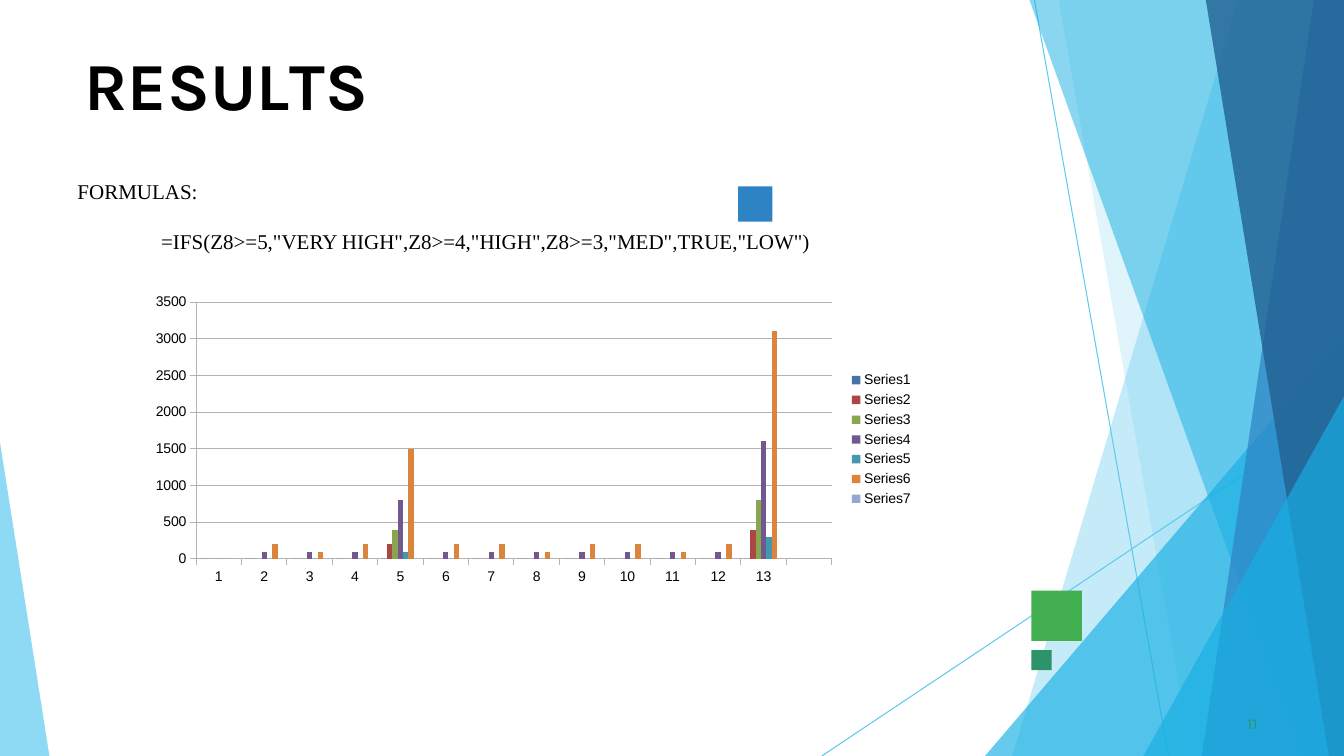
from lxml import etree
from pptx import Presentation
from pptx.chart.data import CategoryChartData
from pptx.dml.color import RGBColor
from pptx.enum.chart import XL_CHART_TYPE, XL_LEGEND_POSITION, XL_TICK_MARK
from pptx.enum.shapes import MSO_CONNECTOR, MSO_SHAPE
from pptx.oxml.ns import qn
from pptx.util import Inches, Pt

COLUMNS = XL_CHART_TYPE.COLUMN_CLUSTERED
LEGEND_RIGHT = XL_LEGEND_POSITION.RIGHT
TICK_OUTSIDE = XL_TICK_MARK.OUTSIDE
STRAIGHT = MSO_CONNECTOR.STRAIGHT
RECTANGLE = MSO_SHAPE.RECTANGLE

BLACK = RGBColor(0x00, 0x00, 0x00)
GRID = RGBColor(0xB3, 0xB3, 0xB3)
SKY = RGBColor(0x5F, 0xCA, 0xEE)
CYAN = RGBColor(0x17, 0xAF, 0xE3)
BLUE = RGBColor(0x2D, 0x83, 0xC3)
NAVY = RGBColor(0x22, 0x61, 0x92)
GREEN = RGBColor(0x42, 0xAF, 0x51)
TEAL = RGBColor(0x2D, 0x93, 0x6B)
WIDTH, HEIGHT = 13.33, 7.5

THIN_LINES = [(10.26, 0, 11.59, HEIGHT), (WIDTH, 4.04, 8.15, HEIGHT)]

# Corner points, colour, opacity in percent
FACETS = [
    ([(WIDTH, 0), (12.28, 0), (10.04, HEIGHT), (WIDTH, HEIGHT)], SKY, 36),
    ([(WIDTH, 0), (10.5, 0), (11.82, HEIGHT), (WIDTH, HEIGHT)], SKY, 20),
    ([(WIDTH, 3.33), (9.77, HEIGHT), (WIDTH, HEIGHT)], CYAN, 66),
    ([(WIDTH, 0), (10.21, 0), (12.91, HEIGHT), (WIDTH, HEIGHT)], CYAN, 50),
    ([(WIDTH, 0), (13.03, 0), (11.92, HEIGHT), (WIDTH, HEIGHT)], BLUE, 70),
    ([(WIDTH, 0), (11.96, 0), (13.18, HEIGHT), (WIDTH, HEIGHT)], NAVY, 80),
    ([(WIDTH, 3.93), (11.34, HEIGHT), (WIDTH, HEIGHT)], CYAN, 66),
    ([(0, 4.39), (0, HEIGHT), (0.49, HEIGHT)], SKY, 70),
]

# Left, top, width, height, colour
SQUARES = [
    (10.23, 5.86, 0.5, 0.5, GREEN),
    (7.32, 1.85, 0.34, 0.35, BLUE),
    (10.23, 6.45, 0.2, 0.2, TEAL),
]

# Letters and their spacing in points
TITLE = [("R", 0), ("E", -0.4), ("S", 0.1), ("U", -0.3), ("L", -4), ("TS", 0)]
FORMULA_LABEL = "FORMULAS:"
FORMULA = '=IFS(Z8>=5,"VERY HIGH",Z8>=4,"HIGH",Z8>=3,"MED",TRUE,"LOW")'
PAGE = [("11", 0.1)]

CATEGORIES = [str(n) for n in range(1, 14)] + [""]
SERIES = [
    ([0] * 13, RGBColor(0x45, 0x72, 0xA7)),
    ([0, 0, 0, 0, 200, 0, 0, 0, 0, 0, 0, 0, 400], RGBColor(0xAA, 0x46, 0x43)),
    ([0, 0, 0, 0, 400, 0, 0, 0, 0, 0, 0, 0, 800], RGBColor(0x89, 0xA5, 0x4E)),
    ([0, 100, 100, 100, 800, 100, 100, 100, 100, 100, 100, 100, 1600], RGBColor(0x71, 0x58, 0x8F)),
    ([0, 0, 0, 0, 100, 0, 0, 0, 0, 0, 0, 0, 300], RGBColor(0x41, 0x98, 0xAF)),
    ([0, 200, 100, 200, 1500, 200, 200, 100, 200, 200, 100, 200, 3100], RGBColor(0xDB, 0x84, 0x3D)),
    ([None] * 13, RGBColor(0x93, 0xA9, 0xCF)),
]


def paint(sp, color):
    sp.shadow.inherit = False
    sp.fill.solid()
    sp.fill.fore_color.rgb = color
    sp.line.fill.background()


def add_thin_line(shapes, ends):
    line = shapes.add_connector(STRAIGHT, *map(Inches, ends))
    line.line.color.rgb = SKY
    line.line.width = Pt(0.75)
    etree.SubElement(line._element.spPr, qn("a:effectLst"))


def add_facet(shapes, points, color, opacity):
    start, *others = [(Inches(x), Inches(y)) for x, y in points]
    builder = shapes.build_freeform(*start)
    builder.add_line_segments(others, close=True)
    sp = builder.convert_to_shape()
    paint(sp, color)
    rgb = sp._element.spPr.find(qn("a:solidFill")).find(qn("a:srgbClr"))
    etree.SubElement(rgb, qn("a:alpha")).set("val", str(opacity * 1000))


def add_text_frame(shapes, box):
    tf = shapes.add_textbox(*map(Inches, box)).text_frame
    tf.word_wrap = True
    return tf


def style(p, font, size, color, before=0):
    p.font.name, p.font.size = font, Pt(size)
    p.font.color.rgb = color
    p.space_before = Pt(before)


def add_spaced_text(shapes, box, pieces, size, color, before, indent):
    """Add one Karla line whose pieces each have their own letter spacing."""
    tf = add_text_frame(shapes, box)
    tf.margin_left = tf.margin_right = tf.margin_bottom = 0
    tf.margin_top = Inches(0.01)
    p = tf.paragraphs[0]
    style(p, "Karla", size, color, before)
    p._p.get_or_add_pPr().set("marL", str(Inches(indent)))
    for text, spacing in pieces:
        r = p.add_run()
        r.text = text
        r._r.get_or_add_rPr().set("spc", str(round(spacing * 100)))
    return p


def add_results_chart(shapes, box):
    data = CategoryChartData()
    data.categories = CATEGORIES
    for number, (values, _) in enumerate(SERIES, 1):
        data.add_series(f"Series{number}", values + [None])
    chart = shapes.add_chart(COLUMNS, *map(Inches, box), data).chart
    chart.has_title = False
    chart.font.name, chart.font.size = "Arial", Pt(10)
    chart.font.color.rgb = BLACK
    chart.has_legend = True
    chart.legend.position = LEGEND_RIGHT
    chart.legend.include_in_layout = False

    plot = chart.plots[0]
    plot.gap_width, plot.overlap = 150, 0
    plot.vary_by_categories = False
    for series, (_, color) in zip(plot.series, SERIES):
        series.format.fill.solid()
        series.format.fill.fore_color.rgb = color

    for axis in (chart.category_axis, chart.value_axis):
        axis.major_tick_mark = TICK_OUTSIDE
        axis.format.line.color.rgb = GRID
    values = chart.value_axis
    values.minimum_scale, values.maximum_scale, values.major_unit = 0, 3500, 500
    values.has_major_gridlines = True
    values.major_gridlines.format.line.color.rgb = GRID


def main():
    prs = Presentation()
    prs.slide_width, prs.slide_height = Inches(WIDTH), Inches(HEIGHT)
    shapes = prs.slides.add_slide(prs.slide_layouts[6]).shapes

    for ends in THIN_LINES:
        add_thin_line(shapes, ends)
    for facet in FACETS:
        add_facet(shapes, *facet)
    for *box, color in SQUARES:
        paint(shapes.add_shape(RECTANGLE, *map(Inches, box)), color)

    title = add_spaced_text(shapes, (0.83, 0.42, 11.68, 0.81), TITLE, 48, BLACK, 1, 0.01)
    title.font.bold = True

    tf = add_text_frame(shapes, (0.67, 1.72, 12, 0.86))
    label, formula = tf.paragraphs[0], tf.add_paragraph()
    label.text, formula.text = FORMULA_LABEL, FORMULA
    style(label, "Times New Roman", 15, BLACK)
    style(formula, "Times New Roman", 15, BLACK, 18)
    formula._p.get_or_add_pPr().set("marL", str(Inches(0.83)))

    add_spaced_text(shapes, (12.33, 7.07, 0.25, 0.18), PAGE, 11, TEAL, 0.6, 0.04)
    add_results_chart(shapes, (1.39, 2.86, 7.77, 3))
    prs.save("out.pptx")


if __name__ == "__main__":
    main()
